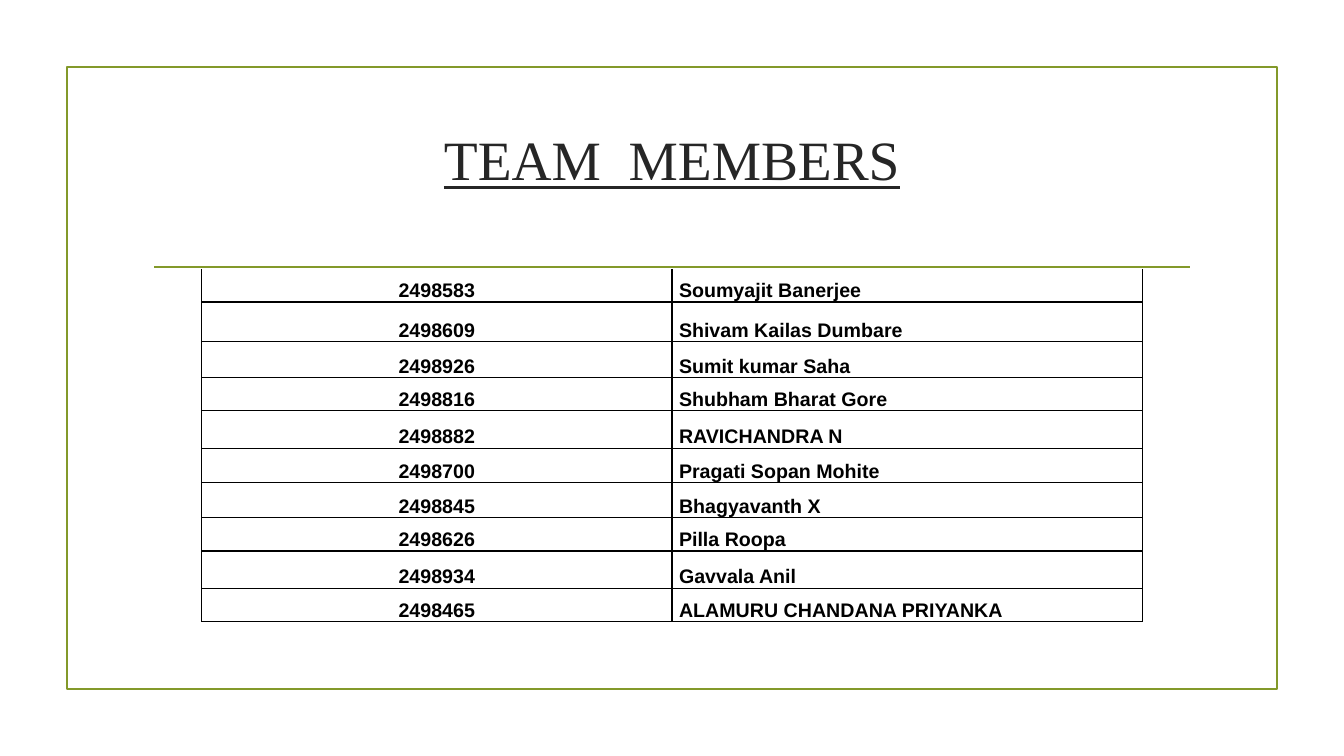
from dataclasses import dataclass

from lxml.etree import SubElement
from pptx import Presentation
from pptx.dml.color import RGBColor
from pptx.enum.shapes import MSO_CONNECTOR, MSO_SHAPE
from pptx.enum.text import MSO_ANCHOR, PP_ALIGN
from pptx.oxml.ns import qn
from pptx.util import Inches, Pt


@dataclass(frozen=True)
class Theme:
    accent: RGBColor = RGBColor(0x83, 0x99, 0x2A)
    title_color: RGBColor = RGBColor(0x26, 0x26, 0x26)
    ink: RGBColor = RGBColor(0, 0, 0)
    paper: RGBColor = RGBColor(255, 255, 255)
    title_font: str = "Times New Roman"
    table_font: str = "Arial"
    title_size: float = 39.6
    table_size: float = 14
    rule_width: float = 1.25
    border_width: float = 1


THEME = Theme()
COLUMNS, ROWS = 160, 90

# Member number, name, row height in grid rows
MEMBERS = [
    ("2498583", "Soumyajit Banerjee", 3.96),
    ("2498609", "Shivam Kailas Dumbare", 4.68),
    ("2498926", "Sumit kumar Saha", 4.32),
    ("2498816", "Shubham Bharat Gore", 3.96),
    ("2498882", "RAVICHANDRA N", 4.44),
    ("2498700", "Pragati Sopan Mohite", 4.08),
    ("2498845", "Bhagyavanth X", 4.2),
    ("2498626", "Pilla Roopa", 3.96),
    ("2498934", "Gavvala Anil", 4.44),
    ("2498465", "ALAMURU CHANDANA PRIYANKA", 3.96),
]


def grid(units):
    """Length of a number of square grid cells, twelve to the inch."""
    return Inches(units / 12)


def add_text(frame, text, font_name, size, color, align):
    para = frame.paragraphs[0]
    para.alignment = align
    span = para.add_run()
    span.text = text
    span.font.name = font_name
    span.font.size = Pt(size)
    span.font.color.rgb = color
    return span


def add_frame(page, left, top, width, height):
    frame = page.shapes.add_shape(MSO_SHAPE.RECTANGLE, *map(grid, (left, top, width, height)))
    frame.shadow.inherit = False
    frame.fill.background()
    frame.line.color.rgb = THEME.accent
    frame.line.width = Pt(THEME.rule_width)


def add_rule(page, left, right, top):
    rule = page.shapes.add_connector(
        MSO_CONNECTOR.STRAIGHT, grid(left), grid(top), grid(right), grid(top))
    rule.line.color.rgb = THEME.accent
    rule.line.width = Pt(THEME.rule_width)
    SubElement(rule._element.spPr, qn("a:effectLst"))


def add_title(page, text, left, top, width, height):
    box = page.shapes.add_textbox(*map(grid, (left, top, width, height)))
    box.text_frame.word_wrap = True
    box.text_frame.vertical_anchor = MSO_ANCHOR.MIDDLE
    span = add_text(box.text_frame, text, THEME.title_font, THEME.title_size,
                    THEME.title_color, PP_ALIGN.CENTER)
    span.font.underline = True


def set_borders(cell, sides):
    """Draw the sides named in "LRTB" order and leave the others without a line."""
    properties = cell._tc.get_or_add_tcPr()
    for side in "LRTB":
        border = SubElement(properties, qn(f"a:ln{side}"), w=str(Pt(THEME.border_width)))
        if side in sides:
            fill = SubElement(border, qn("a:solidFill"))
            SubElement(fill, qn("a:srgbClr"), val=str(THEME.ink))
        else:
            SubElement(border, qn("a:noFill"))


def fill_cell(cell, text, align, sides):
    cell.margin_left = cell.margin_right = Inches(0.07)
    cell.margin_top = cell.margin_bottom = 0
    cell.vertical_anchor = MSO_ANCHOR.BOTTOM
    set_borders(cell, sides)
    cell.fill.solid()
    cell.fill.fore_color.rgb = THEME.paper
    span = add_text(cell.text_frame, text, THEME.table_font, THEME.table_size,
                    THEME.ink, align)
    span.font.bold = True


def add_member_table(page, members, left, top, width):
    height = sum(row_height for _, _, row_height in members)
    table = page.shapes.add_table(
        len(members), 2, *map(grid, (left, top, width, height))).table
    table.first_row = table.horz_banding = False
    for index, (number, name, row_height) in enumerate(members):
        table.rows[index].height = grid(row_height)
        sides = "LRTB" if index else "LRB"
        fill_cell(table.cell(index, 0), number, PP_ALIGN.CENTER, sides)
        fill_cell(table.cell(index, 1), name, PP_ALIGN.LEFT, sides)


def main():
    deck = Presentation()
    deck.slide_width, deck.slide_height = grid(COLUMNS), grid(ROWS)
    page = deck.slides.add_slide(deck.slide_layouts[6])
    add_frame(page, 8, 8, COLUMNS - 16, ROWS - 16)
    add_rule(page, 18.36, 141.72, 31.8)
    add_title(page, "TEAM\u00a0 MEMBERS".replace("\u00a0", " "), 17, 12.84, 126, 12.12)
    add_member_table(page, MEMBERS, 24, 32, 112)
    deck.save("out.pptx")


if __name__ == "__main__":
    main()
